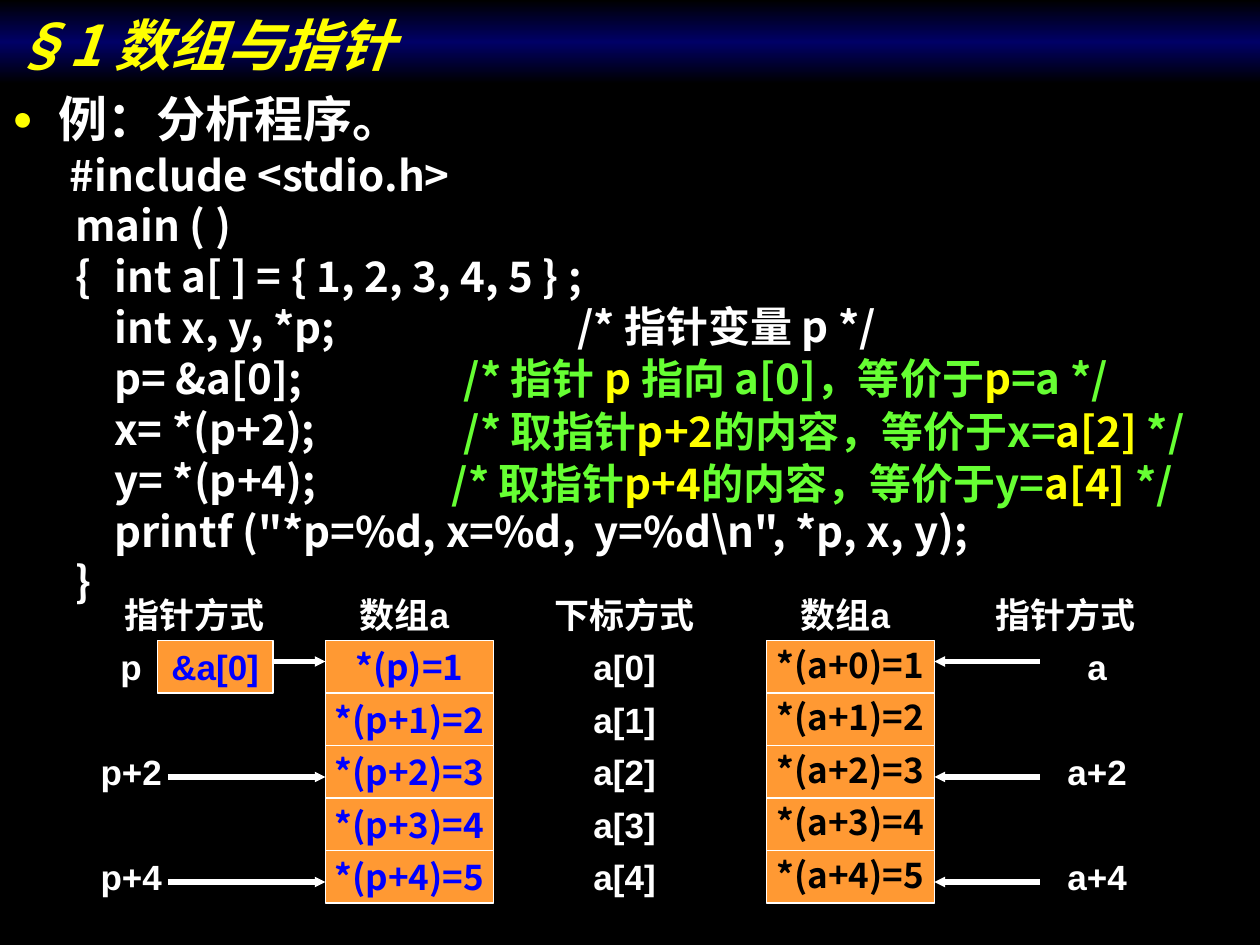
from copy import deepcopy

from lxml.etree import SubElement
from pptx import Presentation
from pptx.dml.color import RGBColor
from pptx.enum.shapes import MSO_CONNECTOR as Connector, MSO_SHAPE as Preset
from pptx.enum.text import MSO_ANCHOR as Anchor, PP_ALIGN as Align
from pptx.oxml.ns import qn
from pptx.util import Inches, Pt

COLUMNS, ROWS = 120, 90
BLACK, WHITE, YELLOW = "000000", "FFFFFF", "FFFF00"
GREEN, BLUE, ORANGE, NAVY = "66FF33", "0000FF", "FF9933", "000066"
SANS, CJK = "Arial", "Noto Sans CJK SC"


def color(value):
    return RGBColor.from_string(value)


class SlideBuilder:
    def __init__(self, presentation):
        self.column = presentation.slide_width / COLUMNS
        self.row = presentation.slide_height / ROWS
        self.slide = presentation.slides.add_slide(presentation.slide_layouts[6])
        self.slide.background.fill.solid()
        self.slide.background.fill.fore_color.rgb = color(BLACK)

    def place(self, left, top, width, height):
        return (round(left * self.column), round(top * self.row),
                round(width * self.column), round(height * self.row))

    def run(self, paragraph, text, ink=WHITE, size=24, face=CJK, italic=False):
        run = paragraph.add_run()
        run.text = text
        font = run.font
        font.size, font.name, font.bold, font.italic = Pt(size), face, True, italic
        font.color.rgb = color(ink)
        SubElement(font._element, qn("a:ea"), typeface=CJK)

    def indent(self, paragraph, margin, first, bullet=None):
        properties = paragraph._p.get_or_add_pPr()
        properties.set("marL", str(Inches(margin)))
        properties.set("indent", str(Inches(first)))
        if bullet:
            ink = SubElement(properties, qn("a:buClr"))
            SubElement(ink, qn("a:srgbClr"), val=YELLOW)
            SubElement(properties, qn("a:buSzPct"), val="70000")
            SubElement(properties, qn("a:buFont"), typeface=SANS)
            SubElement(properties, qn("a:buChar"), char=bullet)
        else:
            SubElement(properties, qn("a:buNone"))

    def text(self, box, wrap=True):
        shape = self.slide.shapes.add_textbox(*self.place(*box))
        shape.text_frame.word_wrap = wrap
        return shape.text_frame

    def remark(self, box, parts, wrap=True, inks=(GREEN, YELLOW)):
        paragraph = self.text(box, wrap).paragraphs[0]
        for index, part in enumerate(parts):
            self.run(paragraph, part, inks[index % 2])

    def center(self, shape, text, ink, face, spacing=None):
        frame = shape.text_frame
        frame.word_wrap = False
        frame.vertical_anchor = Anchor.MIDDLE
        paragraph = frame.paragraphs[0]
        paragraph.alignment = Align.CENTER
        paragraph.line_spacing = spacing
        self.run(paragraph, text, ink, 20, face)

    def rectangle(self, box):
        shape = self.slide.shapes.add_shape(Preset.RECTANGLE, *self.place(*box))
        shape.shadow.inherit = False
        return shape

    def label(self, text, left, top, width=5):
        shape = self.rectangle((left, top, width, 5))
        shape.fill.background()
        shape.line.fill.background()
        self.center(shape, text, WHITE, SANS)

    def cell(self, text, left, top, width=16, ink=BLUE, face=CJK, spacing=None):
        shape = self.rectangle((left, top, width, 5))
        shape.fill.solid()
        shape.fill.fore_color.rgb = color(ORANGE)
        shape.line.color.rgb = color(WHITE)
        shape.line.width = Pt(1)
        self.center(shape, text, ink, face, spacing)

    def arrow(self, start, end, level):
        x1, y, x2, _ = self.place(start, level, end, 0)
        connector = self.slide.shapes.add_connector(Connector.STRAIGHT, x1, y, x2, y)
        connector.line.color.rgb = color(WHITE)
        connector.line.width = Pt(3)
        SubElement(connector.line._get_or_add_ln(), qn("a:tailEnd"),
                   type="triangle", w="sm", len="sm")
        SubElement(connector._element.spPr, qn("a:effectLst"))

    def title(self, text):
        shape = self.rectangle((0, 0, COLUMNS, 8))
        shape.line.fill.background()
        shape.fill.gradient()
        shape.fill.gradient_angle = 90
        stops = shape._element.spPr.find(".//" + qn("a:gsLst"))
        stops.append(deepcopy(stops[0]))
        for stop, ink, position in zip(shape.fill.gradient_stops,
                                       (BLACK, NAVY, BLACK), (0, 0.5, 1)):
            stop.color.rgb = color(ink)
            stop.position = position
        frame = shape.text_frame
        frame.vertical_anchor = Anchor.BOTTOM
        frame.paragraphs[0].alignment = Align.LEFT
        self.run(frame.paragraphs[0], text, YELLOW, 32, italic=True)

    def program(self, box, heading, lines):
        frame = self.text(box)
        paragraph = frame.paragraphs[0]
        self.indent(paragraph, 0.37, -0.37, "●")
        paragraph.line_spacing = 0.9
        self.run(paragraph, heading, size=28, face=SANS)
        for text, margin, first in lines:
            paragraph = frame.add_paragraph()
            self.indent(paragraph, margin, first)
            paragraph.line_spacing = 0.8
            paragraph.space_before = Pt(6)
            self.run(paragraph, text)


def main():
    presentation = Presentation()
    presentation.slide_width, presentation.slide_height = Inches(10), Inches(7.5)
    builder = SlideBuilder(presentation)

    outer, inner = (0.81, -0.31), (0.81, 0)
    builder.program((0, 8.5, COLUMNS, 53.5), "例：分析程序。", [
        (" #include <stdio.h>", 0.38, 0),
        ("main ( )", *outer),
        ("{\tint a[ ] = { 1, 2, 3, 4, 5 } ;", *outer),
        ("int x, y, *p;", *inner),
        ("p= &a[0];", *inner),
        ("x= *(p+2);", *inner),
        ("y= *(p+4);", *inner),
        ('printf ("*p=%d, x=%d,  y=%d\\n", *p, x, y);', *inner),
        ("}", *outer),
    ])
    builder.title("§1 数组与指针")

    builder.remark((53.8, 28, 40, 6), ["/* 指针变量 p */"], inks=(WHITE, WHITE))
    builder.remark((43, 33, 76, 6), ["/* 指针 ", "p ", "指向 a[0]，等价于", "p", "=a */"])
    builder.remark((43, 38, 74, 10.8), ["/* 取指针", "p+2", "的内容，等价于x=", "a[2]", " */"])
    builder.remark((41.85, 43, 75, 6), ["/* 取指针", "p+4", "的内容，等价于y=", "a[4]", " */"], False)

    for heading, left in [("指针方式", 10), ("数组a", 30), ("下标方式", 51),
                          ("数组a", 72), ("指针方式", 93)]:
        builder.label(heading, left, 56, 17)

    for index in range(5):
        top = 61 + 5 * index
        pointer = f"p+{index}" if index else "p"
        builder.cell(f"*({pointer})={index + 1}", 31, top)
        builder.label(f"a[{index}]", 57, top)
        builder.cell(f"*(a+{index})={index + 1}", 73, top, ink=BLACK, spacing=0.9)

    builder.cell("&a[0]", 15, 61, 11, face=SANS)
    for offset, start, level in [("", 26, 63), ("+2", 16, 74), ("+4", 16, 84)]:
        top = 61 + 5 * int(offset or 0)
        builder.label("p" + offset, 10, top)
        builder.label("a" + offset, 102, top)
        builder.arrow(start, 31, level)
        builder.arrow(99, 89, level)

    presentation.save("out.pptx")


if __name__ == "__main__":
    main()
